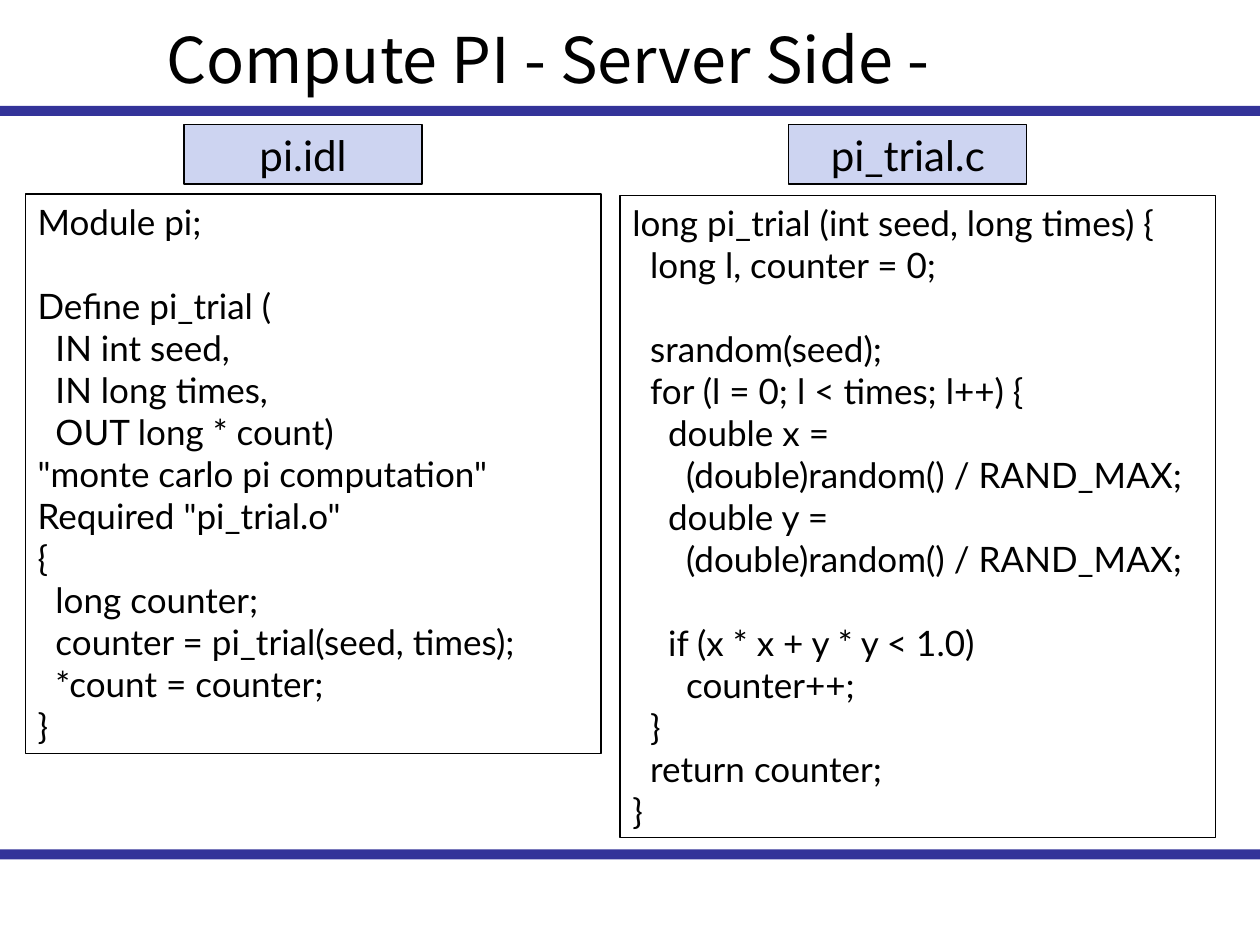
"""Build the slide that shows the server side of the PI computation."""
from lxml.etree import SubElement
from pptx import Presentation
from pptx.dml.color import RGBColor
from pptx.enum.shapes import MSO_SHAPE
from pptx.enum.text import MSO_ANCHOR, PP_ALIGN
from pptx.oxml.ns import qn
from pptx.util import Inches, Pt

COLORS = {"bar": "000080", "label": "CDD4F1", "ink": "000000"}

IDL = """Module pi;

Define pi_trial (
  IN int seed,
  IN long times,
  OUT long * count)
"monte carlo pi computation"
Required "pi_trial.o"
{
  long counter;
  counter = pi_trial(seed, times);
  *count = counter;
}"""

TRIAL = """long pi_trial (int seed, long times) {
  long l, counter = 0;

  srandom(seed);
  for (l = 0; l < times; l++) {
    double x =
      (double)random() / RAND_MAX;
    double y =
      (double)random() / RAND_MAX;

    if (x * x + y * y < 1.0)
      counter++;
  }
  return counter;
}"""


def color(name):
    """Return a palette colour."""
    return RGBColor.from_string(COLORS[name])


def write(shape, text, size, font="Lato", align=PP_ALIGN.LEFT, anchor=MSO_ANCHOR.MIDDLE):
    """Set the text of a shape and format every line."""
    frame = shape.text_frame
    frame.text = text
    frame.vertical_anchor = anchor
    for para in frame.paragraphs:
        para.alignment = align
        for run in para.runs:
            run.font.size = Pt(size)
            run.font.name = font
            run.font.color.rgb = color("ink")
        if not para.runs:
            end = SubElement(para._p, qn("a:endParaRPr"), sz=str(size * 100))
            SubElement(end, qn("a:latin"), typeface=font)


def add_rect(slide, left, top, width, height, fill=None, line=True):
    """Add a plain rectangle."""
    rect = slide.shapes.add_shape(
        MSO_SHAPE.RECTANGLE, Inches(left), Inches(top), Inches(width), Inches(height))
    rect.shadow.inherit = False
    if fill:
        rect.fill.solid()
        rect.fill.fore_color.rgb = color(fill)
    else:
        rect.fill.background()
    if line:
        rect.line.color.rgb = color("ink")
        rect.line.width = Pt(0.75)
    else:
        rect.line.fill.background()
    return rect


def add_bar(slide, top):
    """Add a translucent bar across the slide."""
    bar = add_rect(slide, 0, top, 10, 0.08, "bar", line=False)
    tint = bar._element.spPr.find(qn("a:solidFill"))[0]
    SubElement(tint, qn("a:alpha"), val="80000")


def add_title(slide, text):
    """Add the slide title."""
    box = slide.shapes.add_textbox(Inches(1.22), Inches(0.08), Inches(8.51), Inches(0.76))
    box.text_frame.word_wrap = True
    write(box, text, 36, "Noto Sans CJK JP")


def add_code(slide, left, top, width, height, code):
    """Add a framed code listing."""
    box = add_rect(slide, left, top, width, height)
    box.text_frame.word_wrap = True
    write(box, code, 20, anchor=MSO_ANCHOR.TOP)


def add_label(slide, left, name):
    """Add a file name label above a listing."""
    label = add_rect(slide, left, 0.99, 1.89, 0.47, "label")
    label.text_frame.word_wrap = False
    write(label, name, 24, align=PP_ALIGN.CENTER)


def main():
    """Build and save the slide."""
    deck = Presentation()
    deck.slide_width, deck.slide_height = Inches(10), Inches(7.5)
    slide = deck.slides.add_slide(deck.slide_layouts[6])
    for top in (0.84, 6.74):
        add_bar(slide, top)
    add_title(slide, "Compute PI - Server Side -")
    add_code(slide, 0.2, 1.54, 4.57, 4.44, IDL)
    add_code(slide, 4.92, 1.55, 4.73, 5.1, TRIAL)
    add_label(slide, 1.46, "pi.idl")
    add_label(slide, 6.26, "pi_trial.c")
    deck.save("out.pptx")


if __name__ == "__main__":
    main()
